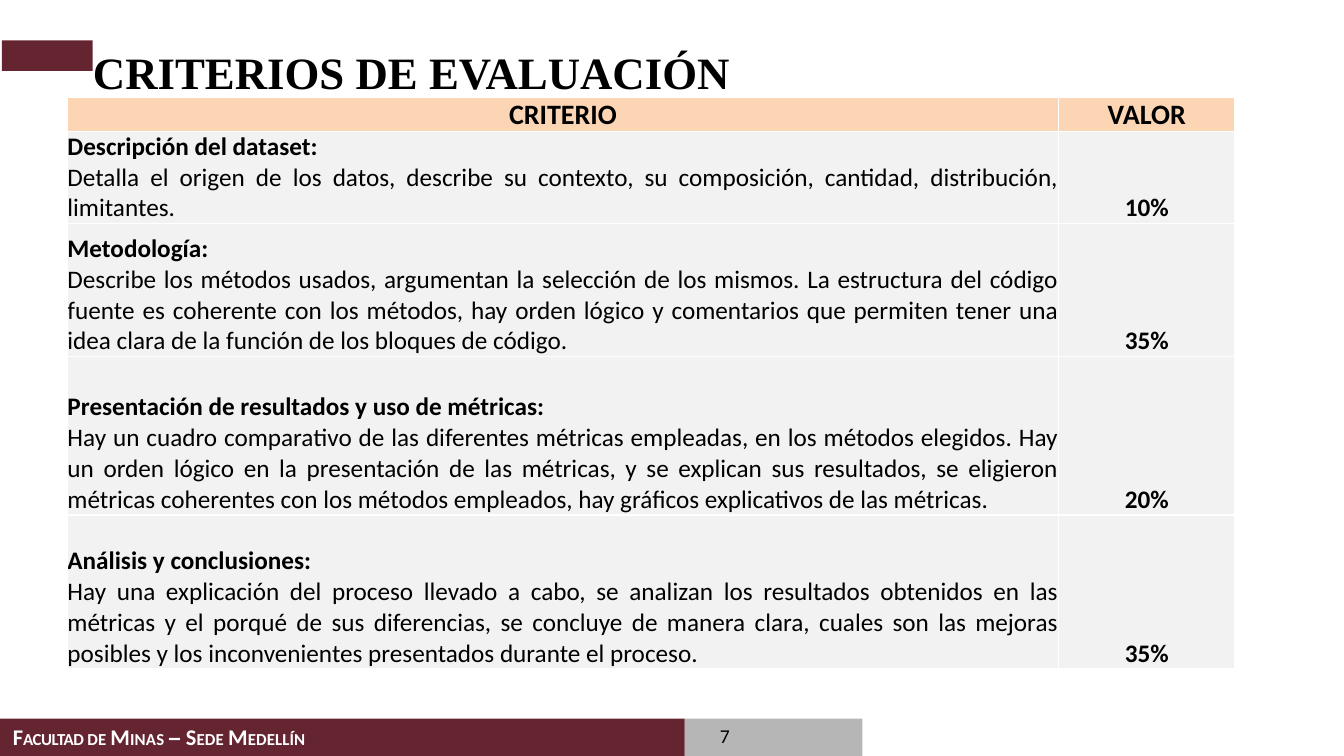
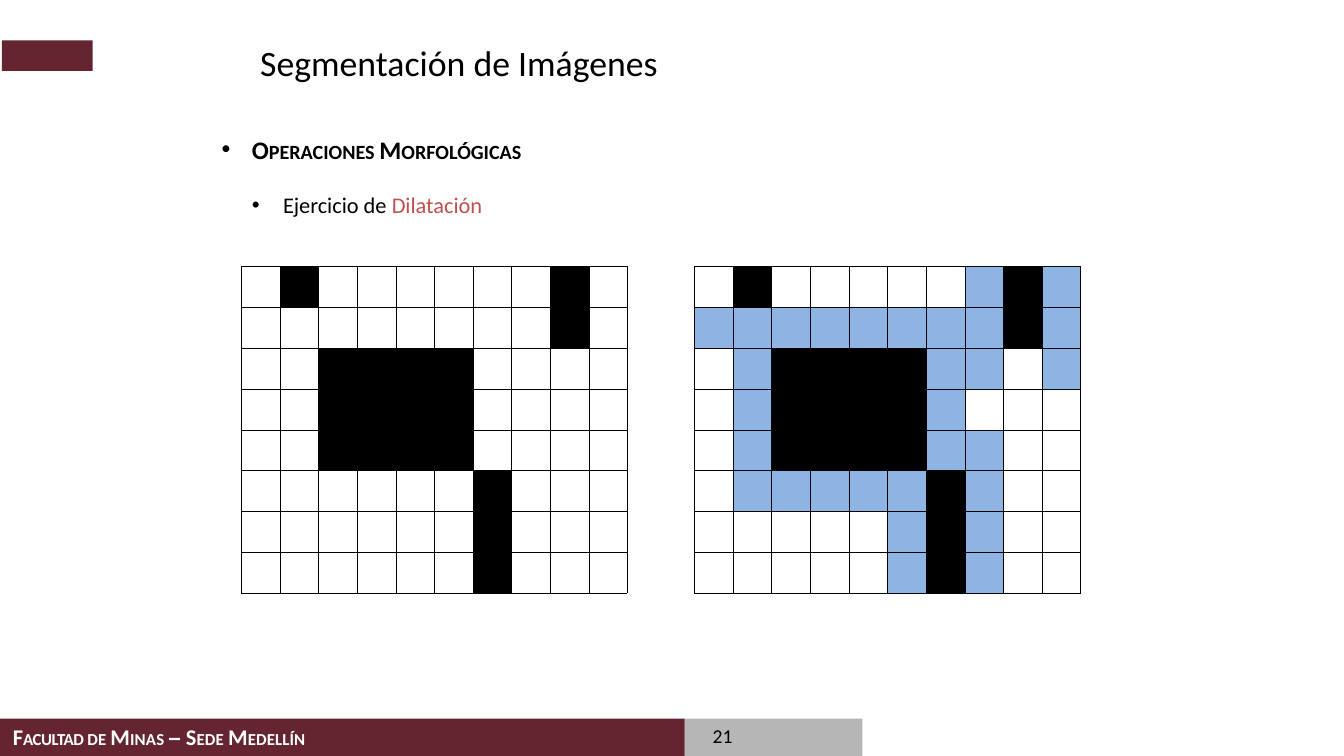
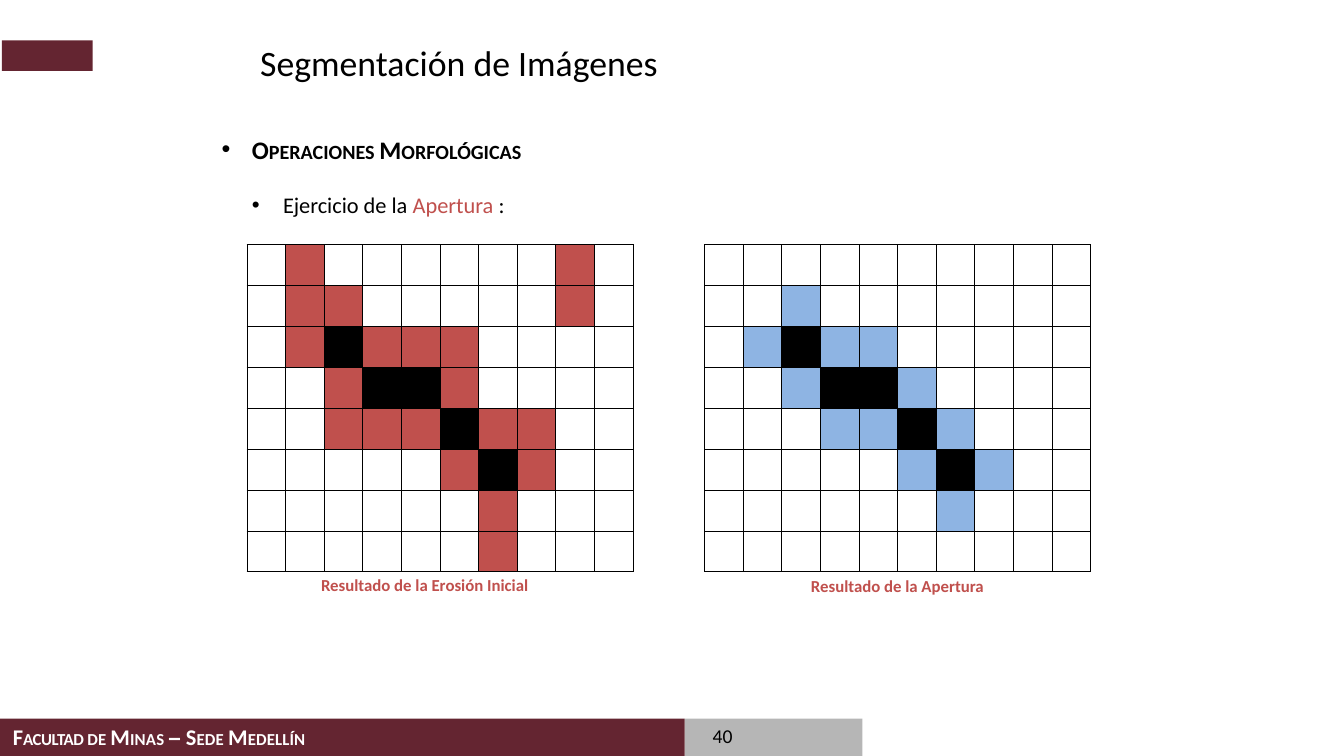
from lxml.etree import SubElement
from pptx import Presentation
from pptx.dml.color import RGBColor
from pptx.enum.shapes import MSO_SHAPE as SHAPE
from pptx.enum.text import MSO_ANCHOR as ANCHOR, PP_ALIGN as ALIGN
from pptx.oxml.ns import qn
from pptx.util import Pt

MAROON = RGBColor(0x64, 0x25, 0x31)
GRAY = RGBColor(0x7E, 0x7E, 0x7E)
WHITE = RGBColor(0xFF, 0xFF, 0xFF)
BLACK = RGBColor(0, 0, 0)
RED = RGBColor(0xC0, 0x50, 0x4D)
BLUE = RGBColor(0x8E, 0xB4, 0xE3)
PEACH = RGBColor(0xFC, 0xD5, 0xB5)
PALE = RGBColor(0xF2, 0xF2, 0xF2)


def write(p, text, size=18, color=BLACK, bold=False, font="Calibri", spc=None, cap=None):
    r = p.add_run()
    r.text = text
    f = r.font
    f.size, f.bold, f.name = Pt(size), bold, font
    f.color.rgb = color
    rPr = r.font._element
    if spc is not None:
        rPr.set("spc", str(round(spc * 100)))
    if cap:
        rPr.set("cap", cap)


def style_cell(cell, fill, border, width):
    tcPr = cell._tc.get_or_add_tcPr()
    for side in ("a:lnL", "a:lnR", "a:lnT", "a:lnB"):
        ln = SubElement(tcPr, qn(side), w=str(Pt(width)))
        SubElement(SubElement(ln, qn("a:solidFill")), qn("a:srgbClr"), val=str(border))
    cell.fill.solid()
    cell.fill.fore_color.rgb = fill


prs = Presentation()
prs.slide_width, prs.slide_height = Pt(960), Pt(540)
layout = prs.slide_layouts[5]
for ph in list(layout.placeholders):
    if ph.placeholder_format.idx >= 10:
        layout.shapes.element.remove(ph.element)

TITLES = [
    ("CRITERIOS DE EVALUACIÓN", 66.4, 32, dict(size=32, bold=True, font="Times New Roman"), "7", ALIGN.CENTER),
    ("Segmentación de Imágenes", 185.8, 28.8, dict(size=25.5), "21", ALIGN.LEFT),
    ("Segmentación de Imágenes", 185.8, 28.8, dict(size=25.5), "40", ALIGN.LEFT),
]
slides = [prs.slides.add_slide(layout) for _ in TITLES]

BANDS = [
    (489, 513.4, 127, 26.6, GRAY),
    (0, 513.4, 489, 26.6, MAROON),
    (1.4, 28.8, 64.8, 21.8, MAROON),
]
shared = []
for x, y, w, h, color in BANDS:
    sp = slides[0].shapes.add_shape(SHAPE.RECTANGLE, Pt(x), Pt(y), Pt(w), Pt(h))
    sp.shadow.inherit = False
    sp.fill.solid()
    sp.fill.fore_color.rgb = color
    sp.line.fill.background()
    if color == GRAY:
        clr = sp.element.spPr.find(qn("a:solidFill")).find(qn("a:srgbClr"))
        SubElement(clr, qn("a:alpha"), val="56000")
    shared.append(sp)

FOOTER = [
    ("F", 16, -0.3), ("ACULTAD ", 12, -0.3), ("DE ", 12, 0.1), ("M", 16, 0.1), ("INAS ", 12, 0.1),
    ("– ", 16, -0.8), ("S", 16, 0.1), ("EDE ", 12, 0.1), ("M", 16, 0.1), ("EDELLÍN", 12, 0.1),
]
footer = slides[0].shapes.add_textbox(Pt(2.2), Pt(517.7), Pt(235.5), Pt(22.3))
footer.text_frame.word_wrap = False
p = footer.text_frame.paragraphs[0]
p.line_spacing = Pt(14.3)
for text, size, spc in FOOTER:
    write(p, text, size=size, color=WHITE, bold=True, spc=spc, font="Arial" if text == "– " else "Calibri")
shared.append(footer)
for sp in shared:
    layout.shapes.element.append(sp.element)

for s, (text, x, y, fmt, number, align) in zip(slides, TITLES):
    title = s.shapes.title
    title.left, title.top, title.width, title.height = Pt(x), Pt(y), Pt(574.6), Pt(38)
    page = s.shapes.add_textbox(Pt(506.2), Pt(519.8), Pt(20.2), Pt(15.8))
    for sp in (title, page):
        tf = sp.text_frame
        tf.margin_left = tf.margin_right = tf.margin_top = tf.margin_bottom = 0
        tf.word_wrap = True
        tf.vertical_anchor = ANCHOR.TOP
    p = title.text_frame.paragraphs[0]
    p.alignment = ALIGN.LEFT
    write(p, text, **fmt)
    p = page.text_frame.paragraphs[0]
    p.alignment = align
    p.line_spacing = Pt(14.3)
    p._p.get_or_add_pPr().set("marL", str(Pt(2.9)))
    write(p, number, size=14, spc=-0.1)

CRITERIA = [
    (24, "CRITERIO", None, "VALOR"),
    (66, "Descripción del dataset: ",
     "Detalla el origen de los datos, describe su contexto, su composición, cantidad, distribución, limitantes.",
     "10%"),
    (95, "Metodología:",
     "Describe los métodos usados, argumentan la selección de los mismos. La estructura del código fuente es "
     "coherente con los métodos, hay orden lógico y comentarios que permiten tener una idea clara de la función "
     "de los bloques de código.", "35%"),
    (113, "Presentación de resultados y uso de métricas: ",
     "Hay un cuadro comparativo de las diferentes métricas empleadas, en los métodos elegidos. Hay un orden "
     "lógico en la presentación de las métricas, y se explican sus resultados, se eligieron métricas coherentes "
     "con los métodos empleados, hay gráficos explicativos de las métricas.", "20%"),
    (110, "Análisis y conclusiones: ",
     "Hay una explicación del proceso llevado a cabo, se analizan los resultados obtenidos en las métricas y el "
     "porqué de sus diferencias, se concluye de manera clara, cuales son las mejoras posibles y los "
     "inconvenientes presentados durante el proceso.", "35%"),
]
tbl = slides[0].shapes.add_table(len(CRITERIA), 2, Pt(48.2), Pt(69.8), Pt(834), Pt(408)).table
tbl.first_row = tbl.horz_banding = False
tbl.columns[0].width, tbl.columns[1].width = Pt(708), Pt(126)
for i, (height, heading, detail, value) in enumerate(CRITERIA):
    tbl.rows[i].height = Pt(height)
    for j, text in enumerate((heading, value)):
        cell = tbl.cell(i, j)
        style_cell(cell, PALE if detail else PEACH, WHITE, 1)
        cell.margin_left = cell.margin_right = cell.margin_top = cell.margin_bottom = 0
        cell.vertical_anchor = ANCHOR.BOTTOM
        p = cell.text_frame.paragraphs[0]
        p.alignment = ALIGN.JUSTIFY if detail and j == 0 else ALIGN.CENTER
        write(p, text, size=18 if detail else 20, bold=True)
    if detail:
        p = tbl.cell(i, 0).text_frame.add_paragraph()
        p.alignment = ALIGN.JUSTIFY
        write(p, detail)

CELL_W, CELL_H = 27.6, 29.25
FILLS = {".": WHITE, "#": BLACK, "b": BLUE, "r": RED}
EXERCISES = [
    ([("Ejercicio de ", BLACK), ("Dilatación", RED)], 190, [
        (172.3, """
.#......#.
........#.
..####....
..####....
..####....
......#...
......#...
......#..."""),
        (496, """
.#.....b#b
bbbbbbbb#b
.b####bb.b
.b####b...
.b####bb..
.bbbbb#b..
.....b#b..
.....b#b.."""),
    ]),
    ([("Ejercicio de la ", BLACK), ("Apertura ", RED), (":", BLACK)], 174.5, [
        (176.2, """
.r......r.
.rr.....r.
.r#rrr....
..r##r....
..rrr#rr..
.....r#r..
......r...
......r..."""),
        (503, """
..........
..b.......
.b#bb.....
..b##b....
...bb#b...
.....b#b..
......b...
.........."""),
    ]),
]
for s, (exercise, top, grids) in zip(slides[1:], EXERCISES):
    tf = s.shapes.add_textbox(Pt(151.2), Pt(92.2), Pt(653), Pt(76)).text_frame
    tf.word_wrap = True
    heading, item = tf.paragraphs[0], tf.add_paragraph()
    item.space_before = Pt(19.5)
    for p, margin, hanging in ((heading, 21.6, 21.6), (item, 43.9, 22.3)):
        pPr = p._p.get_or_add_pPr()
        pPr.set("marL", str(Pt(margin)))
        pPr.set("indent", str(-Pt(hanging)))
        SubElement(pPr, qn("a:buFont"), typeface="Arial")
        SubElement(pPr, qn("a:buChar"), char="•")
    write(heading, "Operaciones Morfológicas", bold=True, cap="small")
    for text, color in exercise:
        write(item, text, size=16, color=color)
    for x, pattern in grids:
        rows = pattern.split()
        nr, nc = len(rows), len(rows[0])
        tbl = s.shapes.add_table(nr, nc, Pt(x), Pt(top), Pt(nc * CELL_W), Pt(nr * CELL_H)).table
        tbl.first_row = tbl.horz_banding = False
        for col in tbl.columns:
            col.width = Pt(CELL_W)
        for i, row in enumerate(rows):
            tbl.rows[i].height = Pt(CELL_H)
            for j, mark in enumerate(row):
                style_cell(tbl.cell(i, j), FILLS[mark], BLACK, 0.25)

CAPTIONS = [
    ("Resultado de la Erosión Inicial", 222.2, 406.8, 165),
    ("Resultado de la Apertura", 572.2, 407.5, 139.7),
]
for text, x, y, w in CAPTIONS:
    tf = slides[2].shapes.add_textbox(Pt(x), Pt(y), Pt(w), Pt(21.8)).text_frame
    tf.word_wrap = False
    write(tf.paragraphs[0], text, size=12, color=RED, bold=True)

prs.save("out.pptx")
